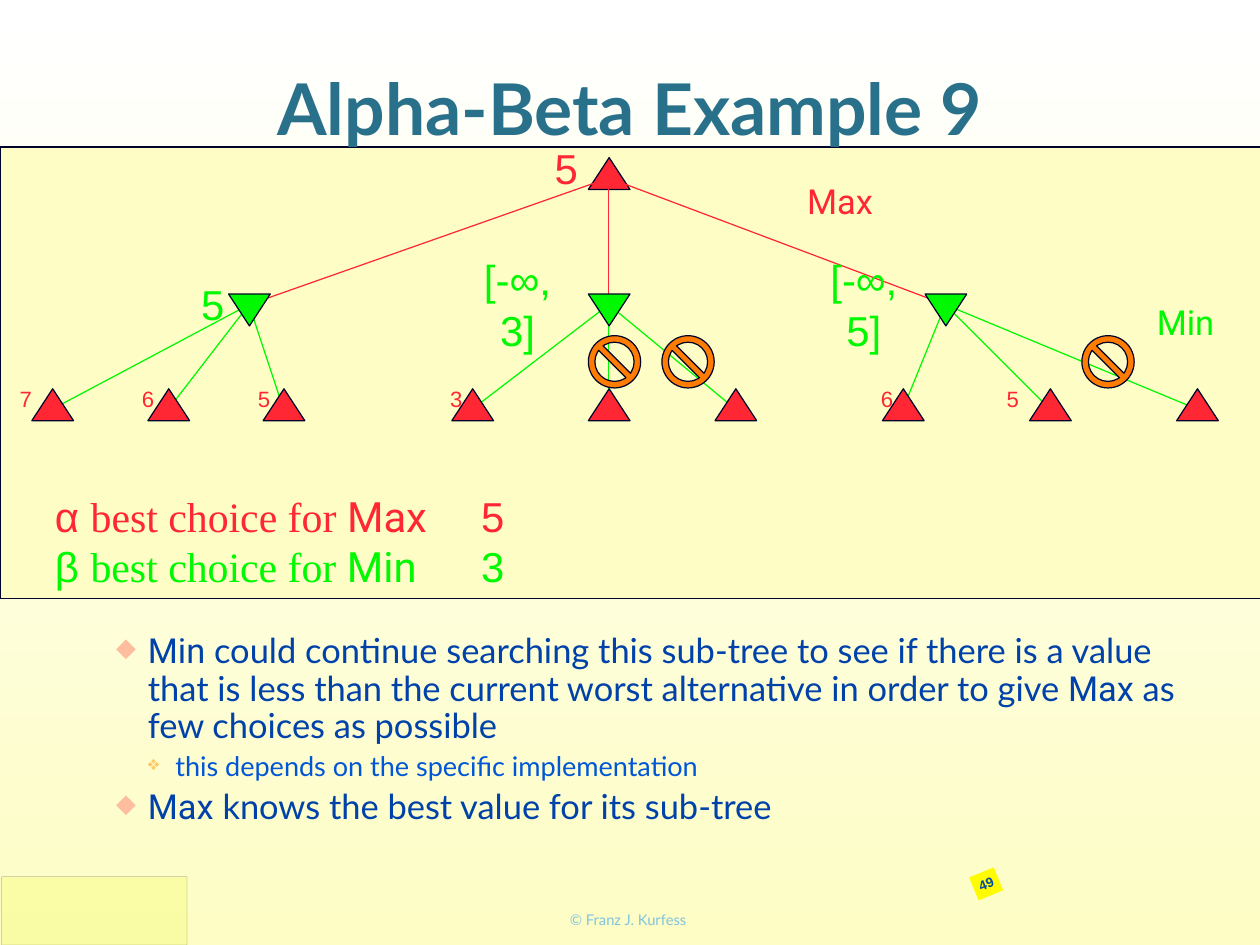
from lxml import etree
from pptx import Presentation
from pptx.dml.color import RGBColor
from pptx.enum.shapes import MSO_CONNECTOR, MSO_SHAPE
from pptx.enum.text import MSO_ANCHOR, PP_ALIGN
from pptx.oxml.ns import qn
from pptx.util import Emu, Pt

PX = 9144  # one px is a hundredth of an inch
STRAIGHT = MSO_CONNECTOR.STRAIGHT
RECT = MSO_SHAPE.RECTANGLE
TRIANGLE = MSO_SHAPE.ISOSCELES_TRIANGLE
NO_SYMBOL = MSO_SHAPE.NO_SYMBOL
LEFT, CENTER = PP_ALIGN.LEFT, PP_ALIGN.CENTER
TOP, MIDDLE = MSO_ANCHOR.TOP, MSO_ANCHOR.MIDDLE

RED, GREEN, INK, CREAM = "FF2734", "00F900", "00032B", "FDFDC5"
ORANGE, NAVY, BLUE = "FF7C00", "0042AA", "0056D6"

ROOT_X, ROOT_Y, MIN_Y, LEAF_Y = 687, 201, 344, 462
# Min node: x, label, label centre, leaves as (x, value, value centre)
SUBTREES = [
    (281, "5", 238, [(59, "7", 27), (190, "6", 165), (320, "5", 296)]),
    (687, "[-∞, 3]", 582, [(533, "3", 513), (687, "", 0), (830, "", 0)]),
    (1067, "[-∞, 5]", 973, [(1019, "6", 999), (1185, "5", 1141), (1351, "", 0)]),
]
PRUNED_X = [664, 747, 1221]


def px(n):
    return Emu(n * PX)


def rgb(value):
    return RGBColor.from_string(value)


class TreeSlide:
    def __init__(self, slide):
        self.slide = slide
        self.shapes = slide.shapes

    def background(self, bottom, top):
        fill = self.slide.background.fill
        fill.gradient()
        fill.gradient_angle = 90
        for stop, color in zip(fill.gradient_stops, (bottom, top)):
            stop.color.rgb = rgb(color)

    def shape(self, kind, x, y, w, h, fill, line=None, weight=1, alpha=None):
        shape = self.shapes.add_shape(kind, px(x), px(y), px(w), px(h))
        shape.shadow.inherit = False
        shape.fill.solid()
        shape.fill.fore_color.rgb = rgb(fill)
        if line:
            shape.line.color.rgb = rgb(line)
            shape.line.width = Pt(weight)
        else:
            shape.line.fill.background()
        if alpha:
            for color in shape._element.spPr.iter(qn("a:srgbClr")):
                etree.SubElement(color, qn("a:alpha")).set("val", str(alpha * 1000))
        return shape

    def node(self, x, y, fill, rotation=0):
        triangle = self.shape(TRIANGLE, x - 23, y, 47, 36, fill, INK)
        triangle.rotation = rotation

    def edge(self, x1, y1, x2, y2, color):
        edge = self.shapes.add_connector(STRAIGHT, px(x1), px(y1), px(x2), px(y2))
        edge.line.color.rgb = rgb(color)
        edge.line.width = Pt(1)
        etree.SubElement(edge._element.spPr, qn("a:effectLst"))

    def pruned(self, x):
        sign = self.shape(NO_SYMBOL, x, 379, 59, 59, ORANGE, INK)
        sign.adjustments[0] = 0.125

    def frame(self, x, y, w, h, inset=6, anchor=MIDDLE, wrap=True):
        box = self.shapes.add_textbox(px(x), px(y), px(w), px(h))
        return self.format_frame(box.text_frame, inset, anchor, wrap)

    def format_frame(self, frame, inset, anchor, wrap):
        frame.word_wrap = wrap
        frame.vertical_anchor = anchor
        frame.margin_left = frame.margin_right = px(inset)
        frame.margin_top = frame.margin_bottom = px(inset)
        return frame

    def paragraph(self, frame, runs, size, color, align=CENTER, bold=False):
        """Each run is a (text, font) pair."""
        first = frame.paragraphs[0]
        paragraph = frame.add_paragraph() if first.runs else first
        paragraph.alignment = align
        paragraph.font.size = Pt(size)
        paragraph.font.bold = bold
        paragraph.font.color.rgb = rgb(color)
        if len({font for _, font in runs}) == 1:
            paragraph.font.name = runs[0][1]
        for text, font in runs:
            run = paragraph.add_run()
            run.text = text
            if not paragraph.font.name:
                run.font.name = font
        return paragraph

    def label(self, center, y, h, text, size, color, font="Arial"):
        frame = self.frame(center - 50, y, 104, h, inset=8, wrap=False)
        self.paragraph(frame, [(text, font)], size, color)

    def tab_stop(self, paragraph, position):
        tabs = etree.Element(qn("a:tabLst"))
        etree.SubElement(tabs, qn("a:tab"), pos=str(px(position)), algn="l")
        self.insert_property(paragraph, tabs)

    def bullet(self, paragraph, mark, color, margin, hang):
        properties = paragraph._p.get_or_add_pPr()
        properties.set("marL", str(px(margin)))
        properties.set("indent", str(px(-hang)))
        paragraph.line_spacing = 0.9
        paragraph.space_before = Pt(6)
        bullet_color = etree.Element(qn("a:buClr"))
        etree.SubElement(bullet_color, qn("a:srgbClr"), val=color)
        self.insert_property(paragraph, bullet_color)
        self.insert_property(paragraph, etree.Element(qn("a:buSzPct"), val="75000"))
        self.insert_property(paragraph, etree.Element(qn("a:buChar"), char=mark))

    def insert_property(self, paragraph, element):
        properties = paragraph._p.get_or_add_pPr()
        defaults = properties.find(qn("a:defRPr"))
        if defaults is None:
            properties.append(element)
        else:
            defaults.addprevious(element)


def main():
    deck = Presentation()
    deck.slide_width, deck.slide_height = px(1422), px(1067)
    page = TreeSlide(deck.slides.add_slide(deck.slide_layouts[6]))

    # Background, corner box and footer
    page.background(CREAM, "FFFFFF")
    page.shape(RECT, 2, 990, 209, 77, "F8FC84", "000000", 0.25, alpha=48)
    footer = page.frame(477, 1019, 464, 38)
    page.paragraph(footer, [("© Franz J. Kurfess", "Lato")], 12, "80C4DF")

    # Tree panel and title
    page.shape(RECT, 0, 166, 1470, 510, CREAM, INK)
    title = page.frame(85, 0, 1251, 241)
    page.paragraph(title, [("Alpha-Beta Example 9", "Lato")], 58, "29708A", bold=True)

    # Edges over the root, under the other nodes
    page.node(ROOT_X, 178, RED)
    for min_x, _, _, leaves in SUBTREES:
        page.edge(ROOT_X, ROOT_Y, min_x, MIN_Y, RED)
        for leaf_x, _, _ in leaves:
            page.edge(min_x, MIN_Y, leaf_x, LEAF_Y, GREEN)

    # Nodes with their values
    for min_x, interval, interval_x, leaves in SUBTREES:
        page.node(min_x, 332, GREEN, rotation=180)
        page.label(interval_x, 309, 69, interval, 34, GREEN)
        for leaf_x, value, value_x in leaves:
            page.node(leaf_x, 439, RED)
            if value:
                page.label(value_x, 425, 50, value, 18, RED)
    for x in PRUNED_X:
        page.pruned(x)

    # Root value and level names
    page.label(637, 155, 69, "5", 34, RED)
    page.label(946, 194, 65, "Max", 28, RED, "Roboto")
    page.label(1336, 331, 65, "Min", 28, GREEN, "Roboto")

    # Best choices so far
    choices = page.frame(0, 539, 613, 144, inset=8)
    choices.margin_left = px(62)
    for symbol, player, best, color in (("α ", "Max", "5", RED), ("β ", "Min", "3", GREEN)):
        runs = [(symbol, "Arial"), ("best choice for ", "Times New Roman"),
                (player + "\t", "Roboto"), (best, "Arial")]
        page.tab_stop(page.paragraph(choices, runs, 34, color, LEFT), 481)

    # Explanation
    notes = page.frame(86, 710, 1250, 284, anchor=TOP)
    main_style = ("◆", "FEBD9F", 75, 36)
    sub_style = ("❖", "FEC863", 106, 31)
    points = [
        ([("Min", "Roboto"),
          (" could continue searching this sub-tree to see if there is a value that is less "
           "than the current worst alternative in order to give ", "Lato"),
          ("Max", "Roboto"), (" as few choices as possible", "Lato")], 28, NAVY, main_style),
        ([("this depends on the specific implementation", "Lato")], 22, BLUE, sub_style),
        ([("Max", "Roboto"), (" knows the best value for its sub-tree", "Lato")],
         28, NAVY, main_style),
    ]
    for runs, size, color, style in points:
        page.bullet(page.paragraph(notes, runs, size, color, LEFT), *style)

    # Page number
    badge = page.shape(RECT, 1098, 984, 30, 28, "FFFB00")
    badge.rotation = 337.5
    number = page.format_frame(badge.text_frame, 6, MIDDLE, False)
    page.paragraph(number, [("49", "Arial")], 11, "0048AA", bold=True)

    deck.save("out.pptx")


if __name__ == "__main__":
    main()
